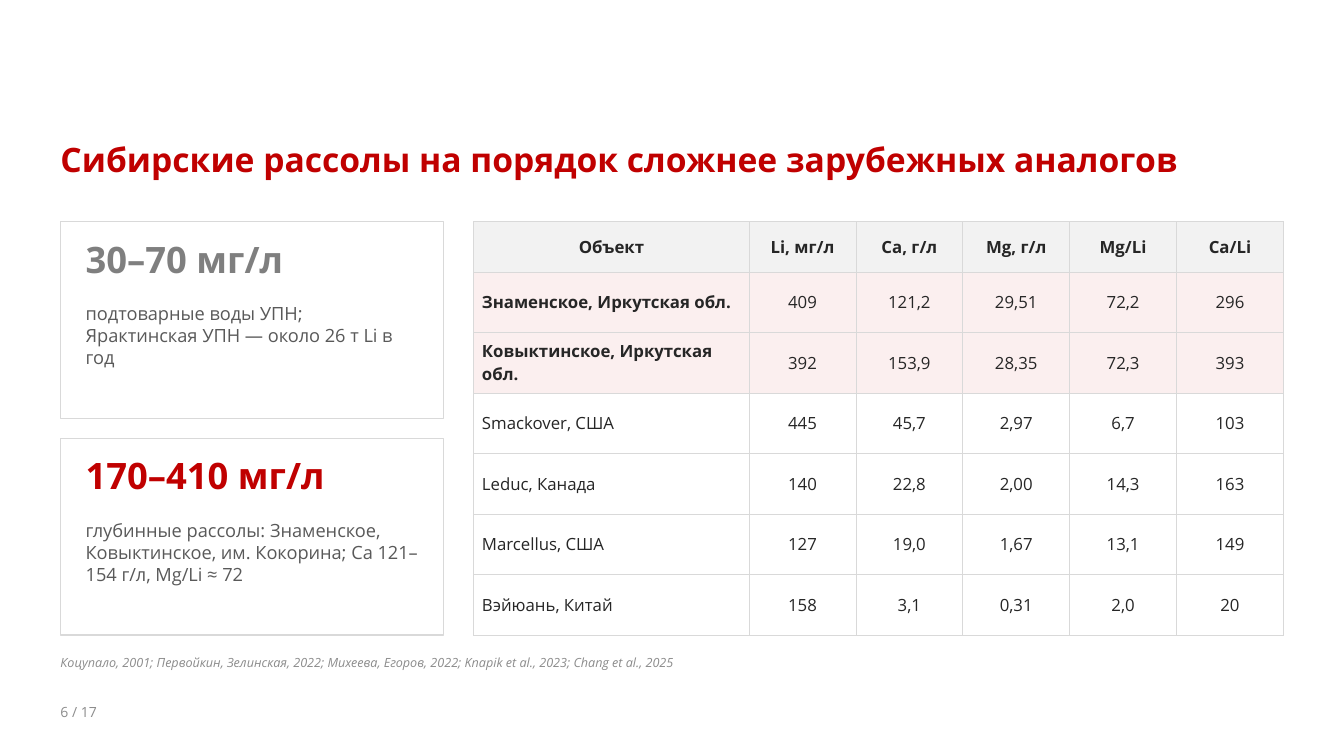
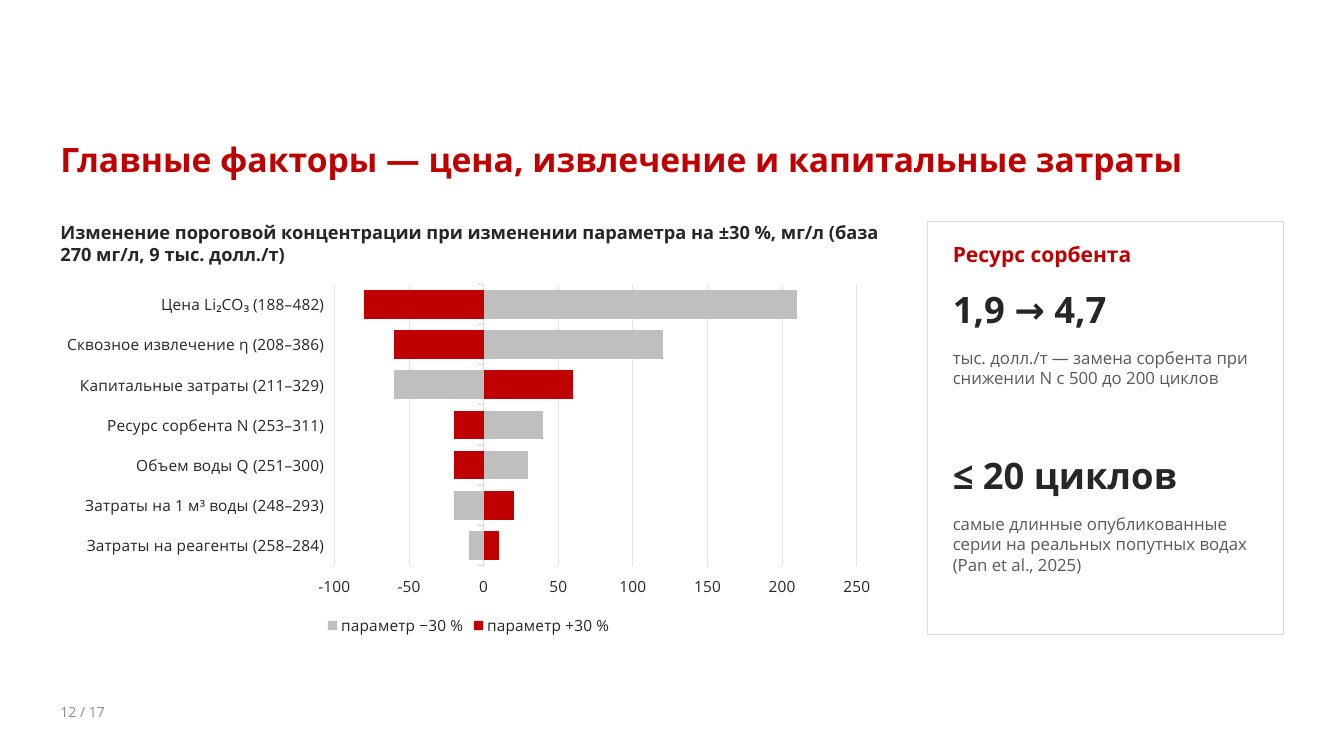
from dataclasses import dataclass

from lxml.etree import SubElement
from pptx import Presentation
from pptx.chart.data import CategoryChartData
from pptx.dml.color import RGBColor
from pptx.enum.chart import XL_CHART_TYPE, XL_LEGEND_POSITION, XL_TICK_LABEL_POSITION, XL_TICK_MARK
from pptx.enum.shapes import MSO_SHAPE
from pptx.enum.text import MSO_ANCHOR, PP_ALIGN
from pptx.oxml.ns import qn
from pptx.presentation import Presentation as Deck
from pptx.slide import Slide
from pptx.table import _Cell
from pptx.text.text import Font
from pptx.util import Inches, Pt


@dataclass(frozen=True)
class Theme:
    font: str = "Open Sans"
    accent: str = "C00000"
    ink: str = "262626"
    body: str = "595959"
    muted: str = "8C8C8C"
    gray: str = "7F7F7F"
    bar: str = "BFBFBF"
    border: str = "D9D9D9"
    grid: str = "E3E3E3"
    header: str = "F2F2F2"
    highlight: str = "FBEFEF"
    paper: str = "FFFFFF"
    title_size: int = 24
    value_size: int = 26
    heading_size: int = 15
    text_size: int = 13
    small_size: int = 12
    chart_size: int = 11
    footer_size: int = 10
    source_size: int = 9
    hairline: float = 0.75


THEME = Theme()

# Shared layout, in inches
LEFT, TOP, RIGHT, CONTENT_HEIGHT = 0.6, 2.2, 12.73, 4.1
PADDING = 0.25
VALUE_HEIGHT = 0.55
PAGE_TOTAL = 17


@dataclass(frozen=True)
class Metric:
    value: str
    caption: str
    color: str


@dataclass(frozen=True)
class Brine:
    place: str
    figures: tuple[str, ...]
    highlighted: bool = False


@dataclass(frozen=True)
class Factor:
    label: str
    at_minus: int
    at_plus: int


CONCENTRATIONS = (
    Metric("30–70 мг/л", "подтоварные воды УПН; Ярактинская УПН — около 26 т Li в год", THEME.gray),
    Metric(
        "170–410 мг/л",
        "глубинные рассолы: Знаменское, Ковыктинское, им. Кокорина; Ca 121–154 г/л, Mg/Li ≈ 72",
        THEME.accent,
    ),
)

HEADINGS = ("Объект", "Li, мг/л", "Ca, г/л", "Mg, г/л", "Mg/Li", "Ca/Li")
BRINES = (
    Brine("Знаменское, Иркутская обл.", ("409", "121,2", "29,51", "72,2", "296"), True),
    Brine("Ковыктинское, Иркутская обл.", ("392", "153,9", "28,35", "72,3", "393"), True),
    Brine("Smackover, США", ("445", "45,7", "2,97", "6,7", "103")),
    Brine("Leduc, Канада", ("140", "22,8", "2,00", "14,3", "163")),
    Brine("Marcellus, США", ("127", "19,0", "1,67", "13,1", "149")),
    Brine("Вэйюань, Китай", ("158", "3,1", "0,31", "2,0", "20")),
)

# Listed from the bottom bar to the top one
FACTORS = (
    Factor("Затраты на реагенты (258–284)", -10, 10),
    Factor("Затраты на 1 м³ воды (248–293)", -20, 20),
    Factor("Объем воды Q (251–300)", 30, -20),
    Factor("Ресурс сорбента N (253–311)", 40, -20),
    Factor("Капитальные затраты (211–329)", -60, 60),
    Factor("Сквозное извлечение η (208–386)", 120, -60),
    Factor("Цена Li₂CO₃ (188–482)", 210, -80),
)

SORBENT_LIFE = (
    Metric("1,9 → 4,7", "тыс. долл./т — замена сорбента при снижении N с 500 до 200 циклов", THEME.ink),
    Metric(
        "≤ 20 циклов",
        "самые длинные опубликованные серии на реальных попутных водах (Pan et al., 2025)",
        THEME.ink,
    ),
)


# Text and shapes
def style_font(font: Font, size: float, color: str, bold: bool = False, italic: bool = False) -> None:
    font.name = THEME.font
    font.size = Pt(size)
    font.bold = bold
    font.italic = italic
    font.color.rgb = RGBColor.from_string(color)


def add_text(
    page: Slide,
    text: str,
    *,
    left: float,
    top: float,
    width: float,
    height: float,
    size: float,
    color: str = THEME.ink,
    bold: bool = False,
    italic: bool = False,
) -> None:
    box = page.shapes.add_textbox(Inches(left), Inches(top), Inches(width), Inches(height))
    frame = box.text_frame
    frame.word_wrap = True
    frame.margin_left = frame.margin_top = frame.margin_right = frame.margin_bottom = 0
    span = frame.paragraphs[0].add_run()
    span.text = text
    style_font(span.font, size, color, bold, italic)


def add_card(page: Slide, left: float, top: float, width: float, height: float) -> None:
    card = page.shapes.add_shape(
        MSO_SHAPE.RECTANGLE, Inches(left), Inches(top), Inches(width), Inches(height)
    )
    card.shadow.inherit = False
    card.fill.solid()
    card.fill.fore_color.rgb = RGBColor.from_string(THEME.paper)
    card.line.color.rgb = RGBColor.from_string(THEME.border)
    card.line.width = Pt(THEME.hairline)


def add_metric(
    page: Slide, metric: Metric, left: float, top: float, width: float, caption_offset: float, caption_size: int
) -> None:
    add_text(page, metric.value, left=left, top=top, width=width, height=VALUE_HEIGHT,
             size=THEME.value_size, color=metric.color, bold=True)
    add_text(page, metric.caption, left=left, top=top + caption_offset, width=width, height=1,
             size=caption_size, color=THEME.body)


def add_page(deck: Deck, title: str, number: int) -> Slide:
    page = deck.slides.add_slide(deck.slide_layouts[6])
    add_text(page, title, left=LEFT, top=1.38, width=RIGHT - LEFT, height=0.7,
             size=THEME.title_size, color=THEME.accent, bold=True)
    add_text(page, f"{number} / {PAGE_TOTAL}", left=LEFT, top=6.98, width=1.5, height=0.25,
             size=THEME.footer_size, color=THEME.muted)
    return page


# Table
def border_cell(cell: _Cell) -> None:
    properties = cell._tc.get_or_add_tcPr()
    for position, side in enumerate(("a:lnL", "a:lnR", "a:lnT", "a:lnB")):
        line = SubElement(properties, qn(side), w=str(Pt(THEME.hairline)))
        fill = SubElement(line, qn("a:solidFill"))
        SubElement(fill, qn("a:srgbClr"), val=THEME.border)
        properties.insert(position, line)


def fill_cell(cell: _Cell, text: str, *, fill: str, bold: bool, centered: bool) -> None:
    cell.fill.solid()
    cell.fill.fore_color.rgb = RGBColor.from_string(fill)
    cell.margin_left = cell.margin_right = Inches(0.08)
    cell.margin_top = cell.margin_bottom = Inches(0.03)
    cell.vertical_anchor = MSO_ANCHOR.MIDDLE
    para = cell.text_frame.paragraphs[0]
    para.alignment = PP_ALIGN.CENTER if centered else PP_ALIGN.LEFT
    span = para.add_run()
    span.text = text
    style_font(span.font, THEME.small_size, THEME.ink, bold)
    border_cell(cell)


def add_brine_table(page: Slide, left: float) -> None:
    place_width, figure_width = 2.73, 1.06
    header_height, row_height = 0.5, 0.6
    table = page.shapes.add_table(
        len(BRINES) + 1, len(HEADINGS),
        Inches(left), Inches(TOP), Inches(RIGHT - left), Inches(CONTENT_HEIGHT),
    ).table
    for index, column in enumerate(table.columns):
        column.width = Inches(figure_width if index else place_width)
    for index, row in enumerate(table.rows):
        row.height = Inches(row_height if index else header_height)

    for column, heading in enumerate(HEADINGS):
        fill_cell(table.cell(0, column), heading, fill=THEME.header, bold=True, centered=True)
    for row, brine in enumerate(BRINES, start=1):
        fill = THEME.highlight if brine.highlighted else THEME.paper
        for column, text in enumerate((brine.place, *brine.figures)):
            fill_cell(table.cell(row, column), text, fill=fill,
                      bold=brine.highlighted and column == 0, centered=column > 0)


# Chart
def add_factor_chart(page: Slide) -> None:
    data = CategoryChartData()
    data.categories = [factor.label for factor in FACTORS]
    data.add_series("параметр −30 %", [factor.at_minus for factor in FACTORS])
    data.add_series("параметр +30 %", [factor.at_plus for factor in FACTORS])
    chart = page.shapes.add_chart(
        XL_CHART_TYPE.BAR_STACKED, Inches(0.5), Inches(2.75), Inches(8.3), Inches(3.6), data
    ).chart
    style_font(chart.font, THEME.chart_size, THEME.ink)
    chart.has_title = False
    chart.has_legend = True
    chart.legend.position = XL_LEGEND_POSITION.BOTTOM
    chart.legend.include_in_layout = False

    plot = chart.plots[0]
    plot.gap_width = 40
    plot.overlap = 100
    plot.vary_by_categories = False
    for series, color in zip(plot.series, (THEME.bar, THEME.accent)):
        series.invert_if_negative = False
        series.format.fill.solid()
        series.format.fill.fore_color.rgb = RGBColor.from_string(color)

    factors = chart.category_axis
    factors.tick_label_position = XL_TICK_LABEL_POSITION.LOW
    factors.major_tick_mark = XL_TICK_MARK.OUTSIDE
    factors.has_major_gridlines = False
    changes = chart.value_axis
    changes.minimum_scale, changes.maximum_scale, changes.major_unit = -100, 250, 50
    changes.major_tick_mark = XL_TICK_MARK.OUTSIDE
    changes.has_major_gridlines = True
    changes.format.line.fill.background()
    for line, color in (
        (factors.format.line, THEME.border),
        (changes.major_gridlines.format.line, THEME.grid),
    ):
        line.color.rgb = RGBColor.from_string(color)
        line.width = Pt(THEME.hairline)


# Pages
def build_brines_page(deck: Deck) -> None:
    page = add_page(deck, "Сибирские рассолы на порядок сложнее зарубежных аналогов", 6)
    add_text(
        page,
        "Коцупало, 2001; Первойкин, Зелинская, 2022; Михеева, Егоров, 2022; "
        "Knapik et al., 2023; Chang et al., 2025",
        left=LEFT, top=6.5, width=9.9, height=0.4,
        size=THEME.source_size, color=THEME.muted, italic=True,
    )
    card_width, gap = 3.8, 0.2
    card_height = (CONTENT_HEIGHT - gap) / len(CONCENTRATIONS)
    for index, metric in enumerate(CONCENTRATIONS):
        top = TOP + index * (card_height + gap)
        add_card(page, LEFT, top, card_width, card_height)
        add_metric(page, metric, LEFT + PADDING, top + 0.15, card_width - 2 * PADDING, 0.65, THEME.text_size)
    add_brine_table(page, LEFT + card_width + 0.3)


def build_factors_page(deck: Deck) -> None:
    page = add_page(deck, "Главные факторы — цена, извлечение и капитальные затраты", 12)
    add_text(
        page,
        "Изменение пороговой концентрации при изменении параметра на ±30 %, мг/л "
        "(база 270 мг/л, 9 тыс. долл./т)",
        left=LEFT, top=TOP, width=8.2, height=0.55, size=THEME.text_size, bold=True,
    )
    add_factor_chart(page)

    card_left = 9.2
    card_width = RIGHT - card_left
    text_left, text_width = card_left + PADDING, card_width - 2 * PADDING
    add_card(page, card_left, TOP, card_width, CONTENT_HEIGHT)
    add_text(page, "Ресурс сорбента", left=text_left, top=TOP + 0.2, width=text_width, height=0.35,
             size=THEME.heading_size, color=THEME.accent, bold=True)
    for index, metric in enumerate(SORBENT_LIFE):
        add_metric(page, metric, text_left, TOP + 0.65 + index * 1.65, text_width, 0.6, THEME.small_size)


def main() -> None:
    deck = Presentation()
    deck.slide_width, deck.slide_height = Inches(13.33), Inches(7.5)
    build_brines_page(deck)
    build_factors_page(deck)
    deck.save("out.pptx")


if __name__ == "__main__":
    main()
